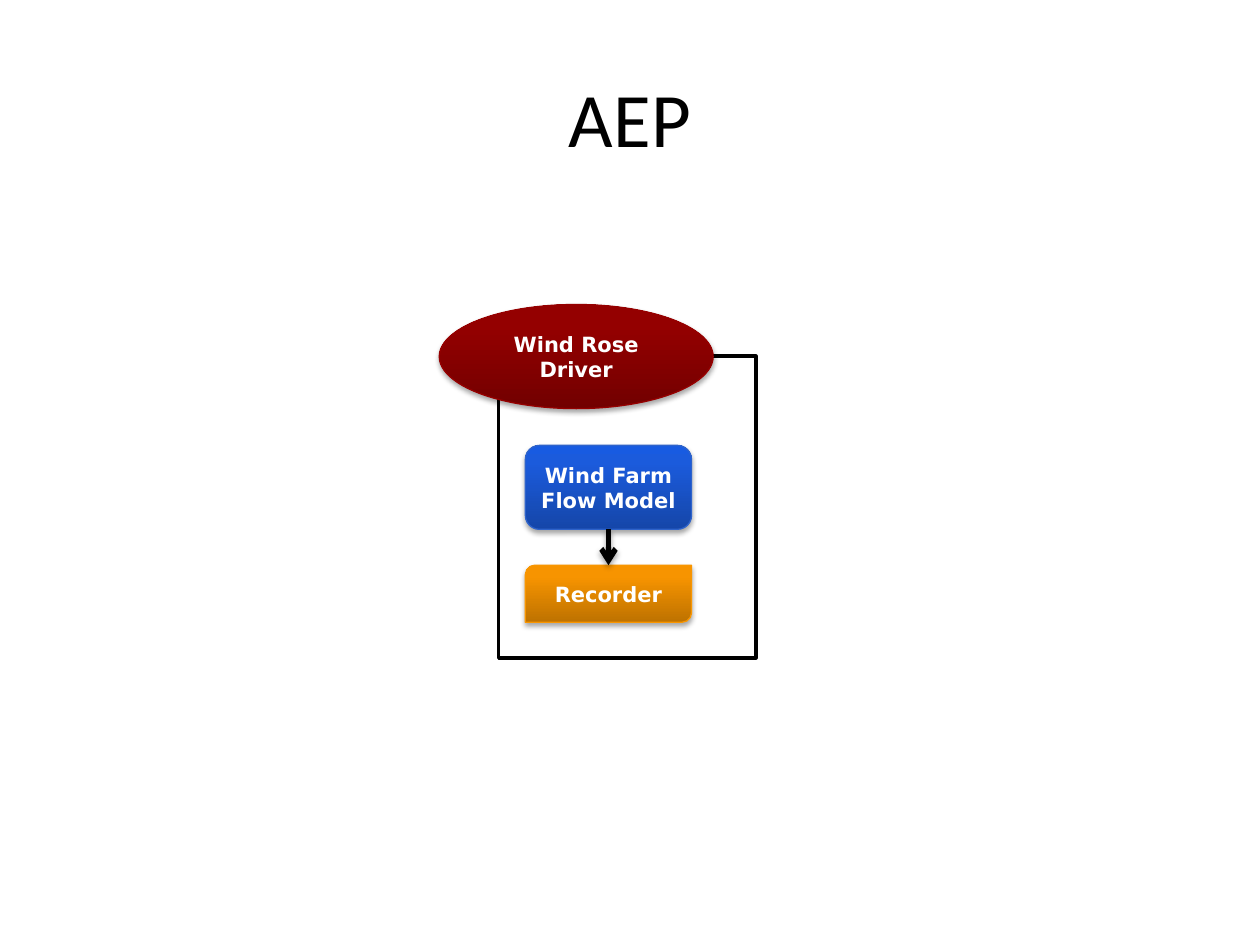
"""Build the AEP wind rose workflow slide."""
from copy import deepcopy
from lxml.etree import SubElement
from pptx import Presentation
from pptx.dml.color import RGBColor
from pptx.enum.shapes import MSO_CONNECTOR, MSO_SHAPE
from pptx.enum.text import MSO_ANCHOR, PP_ALIGN
from pptx.oxml.ns import qn
from pptx.util import Pt

BLACK = RGBColor(0, 0, 0)
WHITE = RGBColor(255, 255, 255)
BLUE = [RGBColor.from_string(c) for c in ("1546A9", "1B5BDC", "185BE1", "2E63CB")]
RED = [RGBColor.from_string(c) for c in ("720000", "940000", "950000", "960000")]
GOLD = [RGBColor.from_string(c) for c in ("BE7200", "F79400", "F89500", "F99600")]

TITLE = "AEP"
LEFT, WIDE = 300.2, 95
MID = LEFT + WIDE / 2
FLOW = (LEFT, 254.5, WIDE, 48)
SAVE = (LEFT, 323, WIDE, 32.6)
ROSE = (251, 174, 156.5, 59.5)
LOOP = (285, 203.5, 147, 172.5)
STEPS = [
    ("Wind Farm Flow Model", MSO_SHAPE.ROUNDED_RECTANGLE, FLOW, BLUE),
    (None, MSO_SHAPE.RECTANGLE, LOOP, None),
    ("Wind Rose Driver", MSO_SHAPE.OVAL, ROSE, RED),
    ("Recorder", MSO_SHAPE.ROUND_2_DIAG_RECTANGLE, SAVE, GOLD),
]


def style(text, font, size, color, bold=False):
    for para in text.paragraphs:
        para.alignment = PP_ALIGN.CENTER
        for run in para.runs:
            run.font.name, run.font.size = font, Pt(size)
            run.font.color.rgb, run.font.bold = color, bold


def shade(props):
    glow = props.find(qn("a:effectLst"))
    if glow is None:
        glow = SubElement(props, qn("a:effectLst"))
    outer = SubElement(glow, qn("a:outerShdw"), blurRad=str(Pt(3.1)),
                       dist=str(Pt(1.8)), dir="5400000", rotWithShape="0")
    tint = SubElement(outer, qn("a:srgbClr"), val=str(BLACK))
    SubElement(tint, qn("a:alpha"), val="35000")


def blend(shape, colors):
    fill = shape.fill
    fill.gradient()
    fill.gradient_angle = 90
    stops = shape._element.spPr.find(".//" + qn("a:gsLst"))
    stops.append(deepcopy(stops[-1]))
    for stop, place, color in zip(fill.gradient_stops, (0, 0.8, 1), colors):
        stop.position, stop.color.rgb = place, color


def draw(slide, label, kind, box, colors):
    shape = slide.shapes.add_shape(kind, *map(Pt, box))
    shape.shadow.inherit = False
    if colors is None:
        shape.fill.background()
        shape.line.color.rgb, shape.line.width = BLACK, Pt(2)
        return
    blend(shape, colors)
    shape.line.color.rgb, shape.line.width = colors[-1], Pt(0.75)
    shade(shape._element.spPr)
    text = shape.text_frame
    text.text, text.word_wrap = label, True
    text.vertical_anchor = MSO_ANCHOR.MIDDLE
    text.margin_left = text.margin_right = text.margin_top = text.margin_bottom = 0
    style(text, "DejaVu Sans", 12, WHITE, True)


deck = Presentation()
deck.slide_width, deck.slide_height = Pt(720), Pt(540)
slide = deck.slides.add_slide(deck.slide_layouts[5])

title = slide.shapes.title
title.left, title.top, title.width, title.height = map(Pt, (36, 21.6, 648, 90))
title.text_frame.text = TITLE
title.text_frame.vertical_anchor = MSO_ANCHOR.MIDDLE
style(title.text_frame, "Calibri", 44, BLACK)

for step in STEPS:
    draw(slide, *step)

arrow = slide.shapes.add_connector(
    MSO_CONNECTOR.STRAIGHT, Pt(MID), Pt(FLOW[1] + FLOW[3]), Pt(MID), Pt(SAVE[1]))
arrow.line.color.rgb, arrow.line.width = BLACK, Pt(3)
SubElement(arrow.line._get_or_add_ln(), qn("a:tailEnd"), type="arrow")
shade(arrow._element.spPr)

deck.save("out.pptx")
